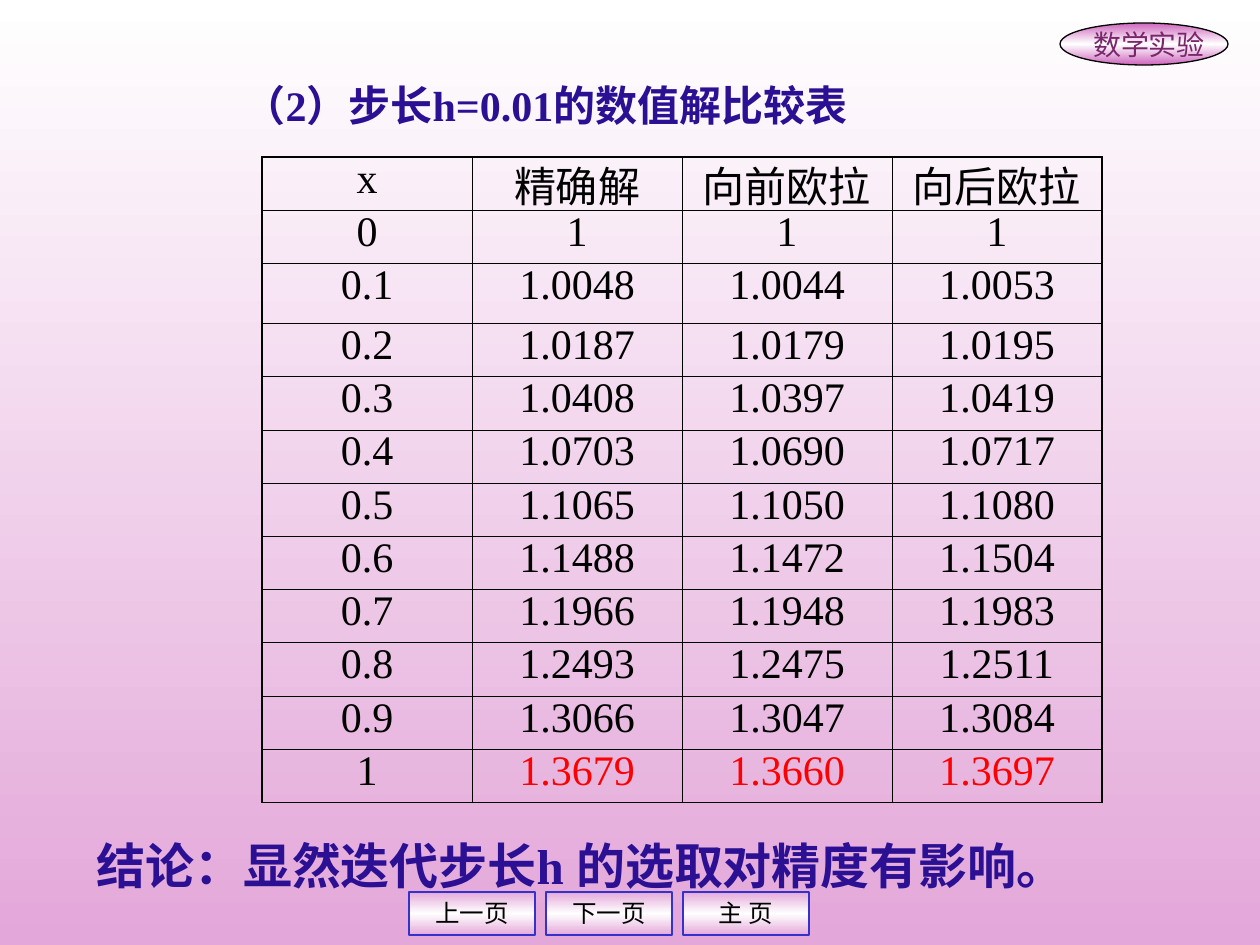
from collections import namedtuple

from lxml.etree import SubElement
from pptx import Presentation
from pptx.dml.color import RGBColor
from pptx.enum.shapes import MSO_SHAPE as Shape
from pptx.enum.text import MSO_ANCHOR as Anchor, MSO_AUTO_SIZE as AutoSize, PP_ALIGN as Align
from pptx.oxml.ns import qn
from pptx.util import Pt

PX = 914400 / 126
Box = namedtuple("Box", "left top width height")

BLACK = RGBColor(0x00, 0x00, 0x00)
WHITE = RGBColor(0xFF, 0xFF, 0xFF)
RED = RGBColor(0xFF, 0x00, 0x00)
NAVY = RGBColor(0x2C, 0x10, 0x94)
BLUE = RGBColor(0x33, 0x33, 0xCC)
PLUM = RGBColor(0x77, 0x27, 0x6A)
PINK = RGBColor(0xE3, 0xA7, 0xD9)
BUTTON_PINK = RGBColor(0xE4, 0xAA, 0xDA)
BADGE_PINK = RGBColor(0xCE, 0x66, 0xBD)

SERIF = "Times New Roman"
SANS = "Noto Sans CJK SC"

HEADERS = ["x", "精确解", "向前欧拉", "向后欧拉"]
SOLUTIONS = [
    ["0", "1", "1", "1"],
    ["0.1", "1.0048", "1.0044", "1.0053"],
    ["0.2", "1.0187", "1.0179", "1.0195"],
    ["0.3", "1.0408", "1.0397", "1.0419"],
    ["0.4", "1.0703", "1.0690", "1.0717"],
    ["0.5", "1.1065", "1.1050", "1.1080"],
    ["0.6", "1.1488", "1.1472", "1.1504"],
    ["0.7", "1.1966", "1.1948", "1.1983"],
    ["0.8", "1.2493", "1.2475", "1.2511"],
    ["0.9", "1.3066", "1.3047", "1.3084"],
    ["1", "1.3679", "1.3660", "1.3697"],
]
TALL_ROW = 2


def emu(px):
    return round(px * PX)


def place(box):
    return [emu(length) for length in box]


def set_gradient(fill, owner, colors):
    fill.gradient()
    fill.gradient_angle = 270
    stops = next(owner.iter(qn("a:gsLst")))
    for stop in list(stops):
        stops.remove(stop)
    for index, color in enumerate(colors):
        position = str(100000 * index // (len(colors) - 1))
        stop = SubElement(stops, qn("a:gs"), pos=position)
        SubElement(stop, qn("a:srgbClr"), val=str(color))


def write(frame, text, size, color, font, before, align=Align.LEFT, bold=False):
    frame.word_wrap = True
    paragraph = frame.paragraphs[0]
    paragraph.alignment = align
    paragraph.space_before = Pt(before)
    run = paragraph.add_run()
    run.text = text
    run.font.size = Pt(size)
    run.font.bold = bold
    run.font.color.rgb = color
    run.font.name = font
    SubElement(run.font._element, qn("a:ea"), typeface=SANS)
    return paragraph


def add_gradient_shape(slide, kind, box, pink, line_color):
    shape = slide.shapes.add_shape(kind, *place(box))
    shape.shadow.inherit = False
    set_gradient(shape.fill, shape._element, [pink, WHITE, pink])
    shape.line.color.rgb = line_color
    shape.line.width = Pt(0.75)
    return shape


def add_navigation(slide, box):
    labels = ["上一页", "下一页", "主 页"]
    width = 126
    pitch = (box.width - width) / (len(labels) - 1)
    for index, label in enumerate(labels):
        button_box = Box(box.left + index * pitch, box.top, width, box.height)
        button = add_gradient_shape(slide, Shape.RECTANGLE, button_box, BUTTON_PINK, BLUE)
        button.text_frame.vertical_anchor = Anchor.TOP
        write(button.text_frame, label, 14, BLACK, SANS, 8.8, Align.CENTER)


def add_badge(slide, box):
    add_gradient_shape(slide, Shape.OVAL, Box(box.left, box.top + 2, box.width, 42),
                       BADGE_PINK, BLACK)
    course = slide.shapes.add_textbox(
        *place(Box(box.left + 10, box.top, box.width - 10, box.height)))
    write(course.text_frame, "数学实验", 16, PLUM, SANS, 10, Align.CENTER)


def add_heading(slide, box):
    heading = slide.shapes.title
    heading.left, heading.top, heading.width, heading.height = place(box)
    heading.text_frame.vertical_anchor = Anchor.TOP
    heading.text_frame.auto_size = AutoSize.SHAPE_TO_FIT_TEXT
    write(heading.text_frame, "（2）步长h=0.01的数值解比较表", 24, NAVY, SERIF, 15, bold=True)


def set_borders(cell, outer_sides):
    properties = cell._tc.get_or_add_tcPr()
    for index, side in enumerate("LRTB"):
        width = Pt(1.08 if side in outer_sides else 0.45)
        line = SubElement(properties, qn(f"a:ln{side}"), w=str(width))
        properties.insert(index, line)
        fill = SubElement(line, qn("a:solidFill"))
        SubElement(fill, qn("a:srgbClr"), val=str(BLACK))


def add_comparison_table(slide, box):
    values = [HEADERS] + SOLUTIONS
    last_row, last_column = len(values) - 1, len(HEADERS) - 1
    tall_height = 60
    table = slide.shapes.add_table(len(values), len(HEADERS), *place(box)).table
    table.first_row = table.horz_banding = False
    for column in table.columns:
        column.width = emu(box.width / len(HEADERS))
    for r, row in enumerate(values):
        plain_height = (box.height - tall_height) / last_row
        table.rows[r].height = emu(tall_height if r == TALL_ROW else plain_height)
        for c, text in enumerate(row):
            cell = table.cell(r, c)
            cell.fill.background()
            cell.margin_left = cell.margin_right = Pt(7.2)
            cell.margin_top = cell.margin_bottom = Pt(3.6)
            color = RED if r == last_row and c > 0 else BLACK
            paragraph = write(cell.text_frame, text, 24, color, SERIF, 6, Align.CENTER)
            paragraph.line_spacing = 0.8
            edges = {"L": c == 0, "R": c == last_column, "T": r == 0, "B": r == last_row}
            set_borders(cell, [side for side, outer in edges.items() if outer])


def add_conclusion(slide, box):
    conclusion = slide.shapes.add_textbox(*place(box))
    conclusion.text_frame.auto_size = AutoSize.SHAPE_TO_FIT_TEXT
    write(conclusion.text_frame, "结论：显然迭代步长h 的选取对精度有影响。", 28, NAVY, SERIF,
          17.5, bold=True)


def main():
    deck = Presentation()
    deck.slide_width, deck.slide_height = emu(1260), emu(945)
    slide = deck.slides.add_slide(deck.slide_layouts[5])
    set_gradient(slide.background.fill, slide._element, [WHITE, PINK])
    add_navigation(slide, Box(409, 892, 400, 43))
    add_badge(slide, Box(1060, 21, 168, 47))
    add_heading(slide, Box(231, 73, 714, 63))
    add_comparison_table(slide, Box(262, 157, 840, 646))
    add_conclusion(slide, Box(84, 829, 1092, 72))
    deck.save("out.pptx")


if __name__ == "__main__":
    main()
